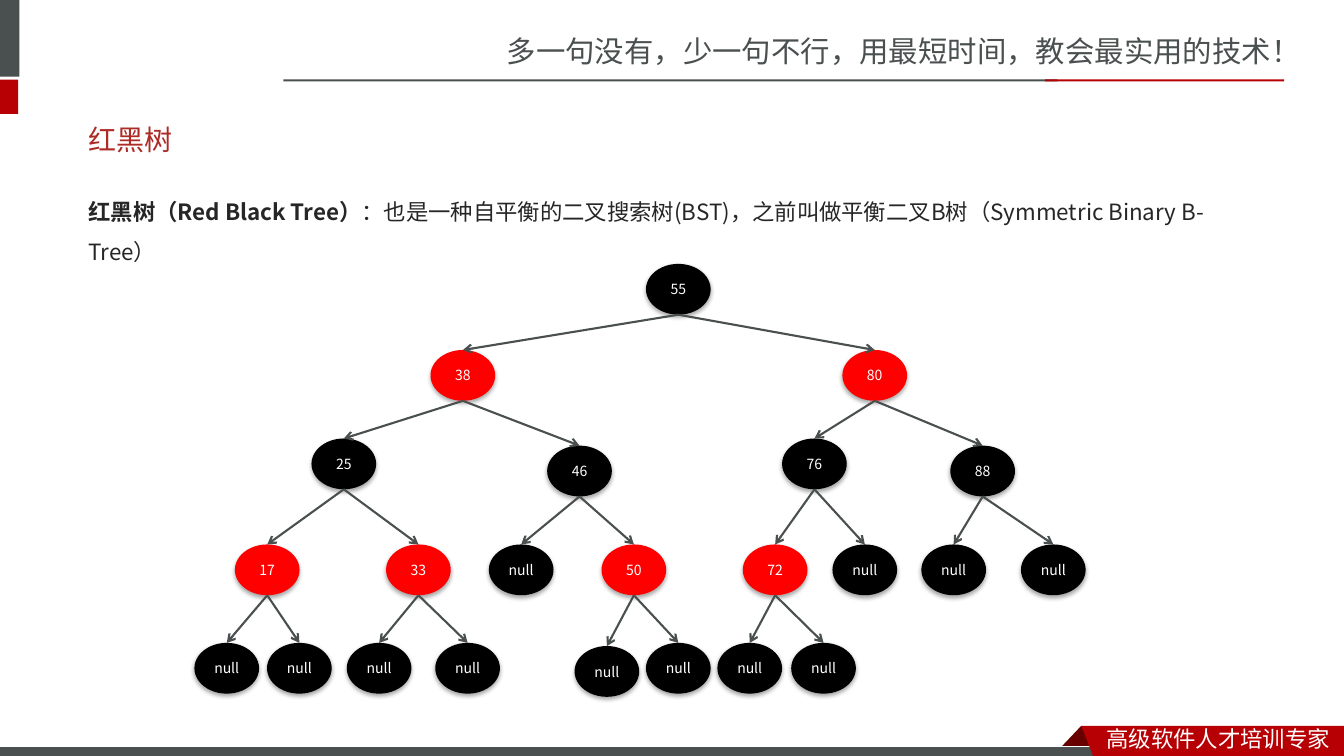
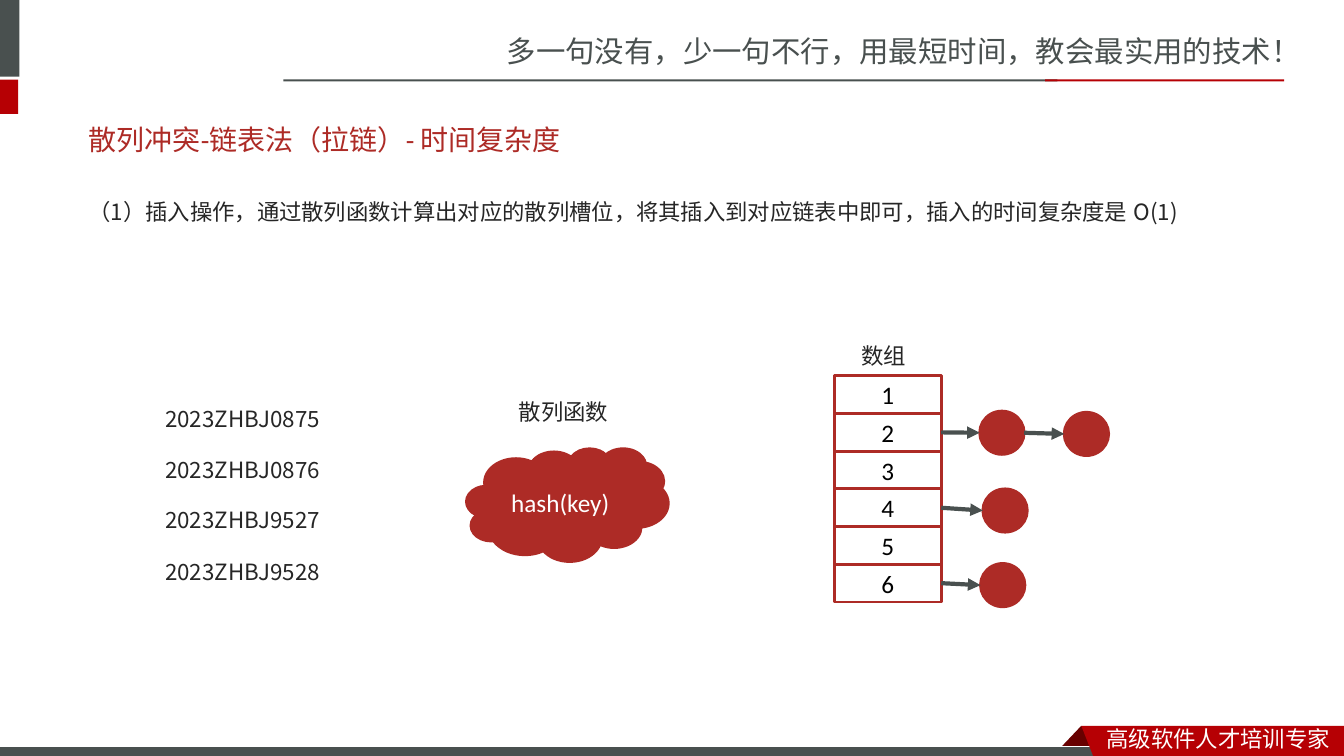
from lxml import etree
from pptx import Presentation
from pptx.dml.color import RGBColor
from pptx.enum import shapes, text
from pptx.oxml.ns import qn
from pptx.util import Cm, Pt

GREY = RGBColor(0x49, 0x50, 0x4F)
RED = RGBColor(0xB6, 0x00, 0x04)
DARK = RGBColor(0x68, 0x00, 0x00)
BRICK = RGBColor(0xAD, 0x2B, 0x26)
INK = RGBColor(0x26, 0x26, 0x26)
BLACK = RGBColor(0, 0, 0)
WHITE = RGBColor(0xFF, 0xFF, 0xFF)
BRIGHT = RGBColor(0xFF, 0, 0)

SANS = "Noto Sans CJK SC"
BODY = "Noto Sans CJK JP"
LATIN = "Calibri"

SHAPE = shapes.MSO_SHAPE
MID = text.MSO_ANCHOR.MIDDLE
LEFT = text.PP_ALIGN.LEFT
CENTER = text.PP_ALIGN.CENTER

NODE_W, NODE_H = 1.63, 1.28
BALL_W, BALL_H = 1.12, 1.09
CELL_H = 0.95

# Each node: label, left, top, children
TREE = ("55", 16.28, 6.65, [
    ("38", 10.85, 8.82, [
        ("25", 7.85, 11.05, [
            ("17", 5.92, 13.72, [("null", 4.9, 16.2, []), ("null", 6.73, 16.2, [])]),
            ("33", 9.73, 13.72, [("null", 8.74, 16.2, []), ("null", 10.97, 16.2, [])]),
        ]),
        ("46", 13.79, 11.23, [
            ("null", 12.32, 13.72, []),
            ("50", 15.16, 13.72, [("null", 14.48, 16.28, []), ("null", 16.28, 16.2, [])]),
        ]),
    ]),
    ("80", 21.23, 8.82, [
        ("76", 19.71, 11.05, [
            ("72", 18.72, 13.72, [("null", 18.08, 16.2, []), ("null", 19.94, 16.2, [])]),
            ("null", 20.98, 13.72, []),
        ]),
        ("88", 23.95, 11.23, [("null", 23.22, 13.72, []), ("null", 25.73, 13.72, [])]),
    ]),
])

# Array slot: left and top of each ball linked to it
CHAINS = {
    2: [(24.69, 10.36), (26.82, 10.39)],
    4: [(24.77, 12.32)],
    6: [(24.71, 14.2)],
}
KEYS = {
    "2023ZHBJ0875": 9.75,
    "2023ZHBJ0876": 11.02,
    "2023ZHBJ9527": 12.29,
    "2023ZHBJ9528": 13.61,
}


def write(frame, words, lead="", size=16, face=BODY, color=INK,
          align=LEFT, anchor=text.MSO_ANCHOR.TOP, space=None, pad=None):
    """Fill a text frame; lead is bold text put before the words."""
    frame.word_wrap = True
    frame.auto_size = text.MSO_AUTO_SIZE.NONE
    frame.vertical_anchor = anchor
    if pad is not None:
        frame.margin_left = frame.margin_right = Cm(pad)
    para = frame.paragraphs[0]
    para.alignment = align
    if space:
        para.line_spacing = space
    for part, bold in ((lead, True), (words, False)):
        if not part:
            continue
        run = para.add_run()
        run.text = part
        font = run.font
        font.size, font.name, font.bold = Pt(size), face, bold
        font.color.rgb = color
        east = etree.SubElement(run._r.get_or_add_rPr(), qn("a:ea"))
        east.set("typeface", SANS if face == LATIN else face)


def shade(shape):
    """Give a shape a soft shadow straight below it."""
    effects = shape._element.spPr.find(qn("a:effectLst"))
    outer = etree.SubElement(effects, qn("a:outerShdw"), blurRad="40000",
                             dist="23000", dir="5400000", rotWithShape="0")
    tint = etree.SubElement(outer, qn("a:srgbClr"), val="000000")
    etree.SubElement(tint, qn("a:alpha"), val="35000")


class Deck:
    """Holds the house style and the slide being drawn."""

    def __init__(self):
        self.file = Presentation()
        self.file.slide_width, self.file.slide_height = Cm(33.87), Cm(19.05)
        self.items = None

    def page(self, title):
        slide = self.file.slides.add_slide(self.file.slide_layouts[5])
        self.items = slide.shapes
        self.frame()
        head = slide.shapes.title
        head.left, head.top, head.width, head.height = map(Cm, (1.98, 2.79, 29.72, 1.45))
        write(head.text_frame, title, size=20, face=LATIN, color=BRICK, anchor=MID)

    def frame(self):
        """Draw the bands, rules and slogans every slide carries."""
        self.label("多一句没有，少一句不行，用最短时间，教会最实用的技术！",
                   12.52, 0.71, 21.36, 1.19, size=21, face=SANS, color=GREY)
        self.shape(SHAPE.RECTANGLE, -0.15, 0, 0.64, 1.93, fill=GREY)
        self.shape(SHAPE.RECTANGLE, -0.15, 2.01, 0.61, 0.86, fill=RED)
        self.shape(SHAPE.RECTANGLE, 7.14, 2, 19.51, 0.05, fill=GREY)
        self.shape(SHAPE.RECTANGLE, 26.34, 2, 6.02, 0.05, fill=RED)
        self.outline(DARK, (27.25, 18.29), (27.81, 18.87), (26.7, 18.87))
        self.shape(SHAPE.RECTANGLE, -0.03, 18.82, 27.94, 0.3,
                   fill=GREY, line=WHITE, width=0.75)
        self.outline(RED, (27.25, 18.29), (33.87, 18.29), (33.87, 19.15), (27.58, 19.13))
        self.label("高级软件人才培训专家", 27.64, 18.16, 6.22, 0.94,
                   face=SANS, color=WHITE)

    def paint(self, shape, fill=None, line=None, width=2):
        shape.shadow.inherit = False
        if fill is None:
            shape.fill.background()
        else:
            shape.fill.solid()
            shape.fill.fore_color.rgb = fill
        if line is None:
            shape.line.fill.background()
        else:
            shape.line.color.rgb = line
            shape.line.width = Pt(width)
        return shape

    def shape(self, kind, x, y, w, h, **style):
        return self.paint(self.items.add_shape(kind, Cm(x), Cm(y), Cm(w), Cm(h)), **style)

    def outline(self, fill, start, *rest):
        pen = self.items.build_freeform(Cm(start[0]), Cm(start[1]))
        pen.add_line_segments([(Cm(x), Cm(y)) for x, y in rest])
        self.paint(pen.convert_to_shape(), fill=fill)

    def label(self, words, x, y, w, h, **style):
        box = self.items.add_textbox(Cm(x), Cm(y), Cm(w), Cm(h))
        write(box.text_frame, words, **style)

    def arrow(self, start, end, width, head):
        line = self.items.add_connector(shapes.MSO_CONNECTOR.STRAIGHT,
                                        *map(Cm, (*start, *end)))
        line.line.color.rgb = GREY
        line.line.width = Pt(width)
        etree.SubElement(line.line._get_or_add_ln(), qn("a:tailEnd"), type=head)
        etree.SubElement(line._element.spPr, qn("a:effectLst"))
        return line

    def node(self, branch, depth=0):
        """Draw a tree node and, below it, its children."""
        name, x, y, kids = branch
        fill = BRIGHT if depth % 2 and name != "null" else BLACK
        oval = self.shape(SHAPE.OVAL, x, y, NODE_W, NODE_H, fill=fill)
        shade(oval)
        write(oval.text_frame, name, size=10, face=SANS, color=WHITE,
              align=CENTER, anchor=MID, pad=0)
        half = NODE_W / 2
        for kid in kids:
            self.node(kid, depth + 1)
            self.arrow((x + half, y + NODE_H), (kid[1] + half, kid[2]), 1.5, "arrow")

    def chain(self, cell, balls):
        """Link balls in a row to the right side of an array cell."""
        start = None
        for x, y in balls:
            self.shape(SHAPE.OVAL, x, y, BALL_W, BALL_H, fill=BRICK, line=BRICK)
            mid = y + BALL_H / 2
            link = self.arrow(start or (x, mid), (x, mid), 3, "triangle")
            if start is None:
                link.begin_connect(cell, 3)
            start = (x + BALL_W, mid)


def tree(deck):
    deck.page("红黑树")
    deck.label("：也是一种自平衡的二叉搜索树(BST)，之前叫做平衡二叉B树（Symmetric Binary B-Tree）",
               1.98, 4.52, 29.72, 2.46, lead="红黑树（Red Black Tree）", space=1.5)
    deck.node(TREE)


def table(deck):
    deck.page("散列冲突-链表法（拉链）- 时间复杂度")
    deck.label("（1）插入操作，通过散列函数计算出对应的散列槽位，将其插入到对应链表中即可，"
               "插入的时间复杂度是 O(1)", 1.98, 4.52, 29.72, 1.68, space=1.5)
    for key, y in KEYS.items():
        deck.label(key, 3.91, y, 6.55, 1.32, space=1.5)
    deck.label("散列函数", 12.83, 9.58, 4.32, 1.32, space=1.5)
    cloud = deck.shape(SHAPE.CLOUD, 11.76, 11.3, 5.08, 2.84, fill=BRICK, line=BRICK)
    write(cloud.text_frame, "hash(key)", size=18, face=LATIN, color=WHITE,
          align=CENTER, anchor=MID)
    deck.label("数组", 21.46, 8.15, 2.41, 1.32, space=1.5)
    for slot in range(1, 7):
        cell = deck.shape(SHAPE.RECTANGLE, 21.03, 9.47 + (slot - 1) * CELL_H,
                          2.69, CELL_H, line=BRICK)
        write(cell.text_frame, str(slot), size=18, face=LATIN, color=BLACK,
              align=CENTER, anchor=MID)
        deck.chain(cell, CHAINS.get(slot, []))


def main():
    deck = Deck()
    tree(deck)
    table(deck)
    deck.file.save("out.pptx")


if __name__ == "__main__":
    main()
